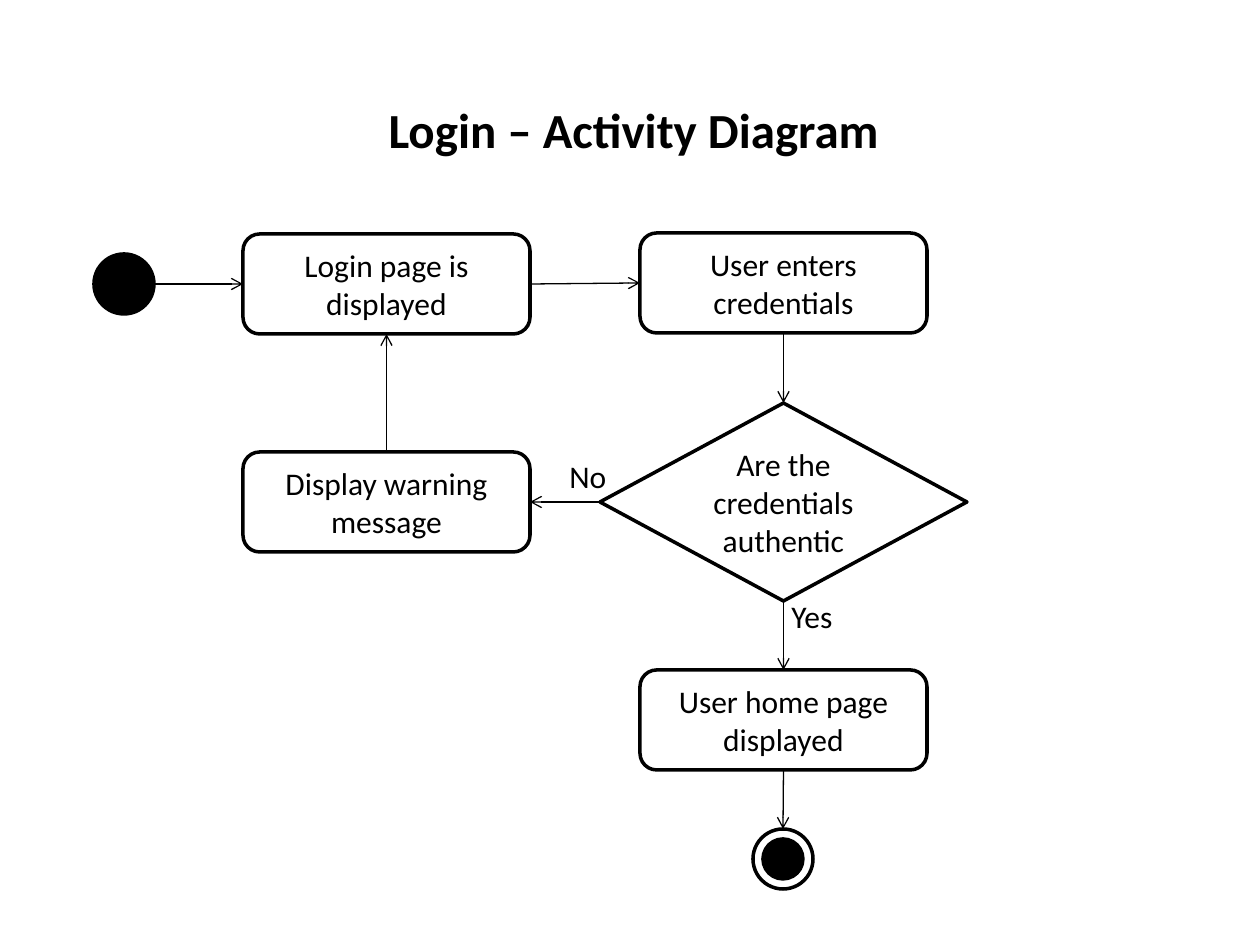
"""Build the login activity diagram slide."""
import pptx
import pptx.util
import pptx.dml.color
import pptx.enum.shapes
import pptx.enum.text
import pptx.oxml
import pptx.oxml.ns

PX = 914400 / 126
BLACK = pptx.dml.color.RGBColor(0, 0, 0)
WHITE = pptx.dml.color.RGBColor(255, 255, 255)
FONT = "Calibri"
SHAPE = pptx.enum.shapes.MSO_SHAPE
ALIGN = pptx.enum.text.PP_ALIGN
ANCHOR = pptx.enum.text.MSO_ANCHOR
AUTO_SIZE = pptx.enum.text.MSO_AUTO_SIZE
TOP, LEFT, BOTTOM, RIGHT = range(4)
BOX_W, BOX_H = 287, 100
LEFT_COL, RIGHT_COL = 243, 640


def px(*values):
    """Turn pixels into a list of EMU lengths."""
    return [pptx.util.Emu(round(v * PX)) for v in values]


def write(tf, text, size=18, bold=False, align=ALIGN.CENTER):
    """Write one run into the first paragraph of a text frame."""
    p = tf.paragraphs[0]
    p.alignment = align
    r = p.add_run()
    r.text = text
    r.font.name = FONT
    r.font.size = pptx.util.Pt(size)
    r.font.bold = bold
    r.font.color.rgb = BLACK


def add_title(s, text, x, y, w, h):
    """Place and fill the title placeholder."""
    title = s.shapes.title
    title.left, title.top, title.width, title.height = px(x, y, w, h)
    tf = title.text_frame
    tf.word_wrap = False
    tf.auto_size = AUTO_SIZE.NONE
    tf.vertical_anchor = ANCHOR.MIDDLE
    write(tf, text, 28, True)


def add_node(s, kind, x, y, w, h, text="", fill=WHITE):
    """Add an outlined diagram node."""
    sp = s.shapes.add_shape(kind, *px(x, y, w, h))
    sp.shadow.inherit = False
    sp.fill.solid()
    sp.fill.fore_color.rgb = fill
    sp.line.color.rgb = BLACK
    sp.line.width = pptx.util.Pt(2)
    if text:
        tf = sp.text_frame
        tf.word_wrap = True
        tf.vertical_anchor = ANCHOR.MIDDLE
        write(tf, text)
    return sp


def add_action(s, x, y, text):
    """Add a rounded action box."""
    return add_node(s, SHAPE.FLOWCHART_ALTERNATE_PROCESS, x, y, BOX_W, BOX_H, text)


def add_label(s, x, y, w, h, text):
    """Add a branch label."""
    tf = s.shapes.add_textbox(*px(x, y, w, h)).text_frame
    tf.word_wrap = False
    tf.auto_size = AUTO_SIZE.SHAPE_TO_FIT_TEXT
    write(tf, text, align=ALIGN.LEFT)


def site_point(sp, site):
    """Return the middle of one side of a shape."""
    mid_x, mid_y = sp.left + sp.width // 2, sp.top + sp.height // 2
    return {
        TOP: (mid_x, sp.top),
        LEFT: (sp.left, mid_y),
        BOTTOM: (mid_x, sp.top + sp.height),
        RIGHT: (sp.left + sp.width, mid_y),
    }[site]


def add_arrow(s, start, start_site, end, end_site):
    """Join two nodes with an open-headed arrow."""
    c = s.shapes.add_connector(
        pptx.enum.shapes.MSO_CONNECTOR.STRAIGHT,
        *site_point(start, start_site), *site_point(end, end_site))
    if start.auto_shape_type != SHAPE.OVAL:
        c.begin_connect(start, start_site)
    if end.auto_shape_type != SHAPE.OVAL:
        c.end_connect(end, end_site)
    c.line.color.rgb = BLACK
    c.line.width = pptx.util.Pt(0.75)
    ns = pptx.oxml.ns.nsdecls("a")
    c.line._get_or_add_ln().append(pptx.oxml.parse_xml(f'<a:tailEnd {ns} type="arrow"/>'))
    c._element.spPr.append(pptx.oxml.parse_xml(f"<a:effectLst {ns}/>"))


def main():
    """Build and save the slide."""
    prs = pptx.Presentation()
    prs.slide_width, prs.slide_height = px(1260, 945)
    s = prs.slides.add_slide(prs.slide_layouts[5])
    add_title(s, "Login – Activity Diagram", 372, 93, 523, 72)

    start = add_node(s, SHAPE.OVAL, 94, 254, 60, 60, fill=BLACK)
    login = add_action(s, LEFT_COL, 234, "Login page is displayed")
    enter = add_action(s, RIGHT_COL, 233, "User enters credentials")
    check = add_node(s, SHAPE.FLOWCHART_DECISION, 600, 403, 367, 198,
                     "Are the credentials authentic")
    warning = add_action(s, LEFT_COL, 452, "Display warning message")
    home = add_action(s, RIGHT_COL, 670, "User home page displayed")
    end = add_node(s, SHAPE.OVAL, 753, 829, 60, 60)
    add_node(s, SHAPE.OVAL, 763, 839, 40, 40, fill=BLACK)

    for link in [
        (start, RIGHT, login, LEFT),
        (login, RIGHT, enter, LEFT),
        (enter, BOTTOM, check, TOP),
        (check, LEFT, warning, RIGHT),
        (warning, TOP, login, BOTTOM),
        (check, BOTTOM, home, TOP),
        (home, BOTTOM, end, TOP),
    ]:
        add_arrow(s, *link)

    add_label(s, 557, 451, 63, 51, "No")
    add_label(s, 779, 591, 67, 51, "Yes")
    prs.save("out.pptx")


main()
